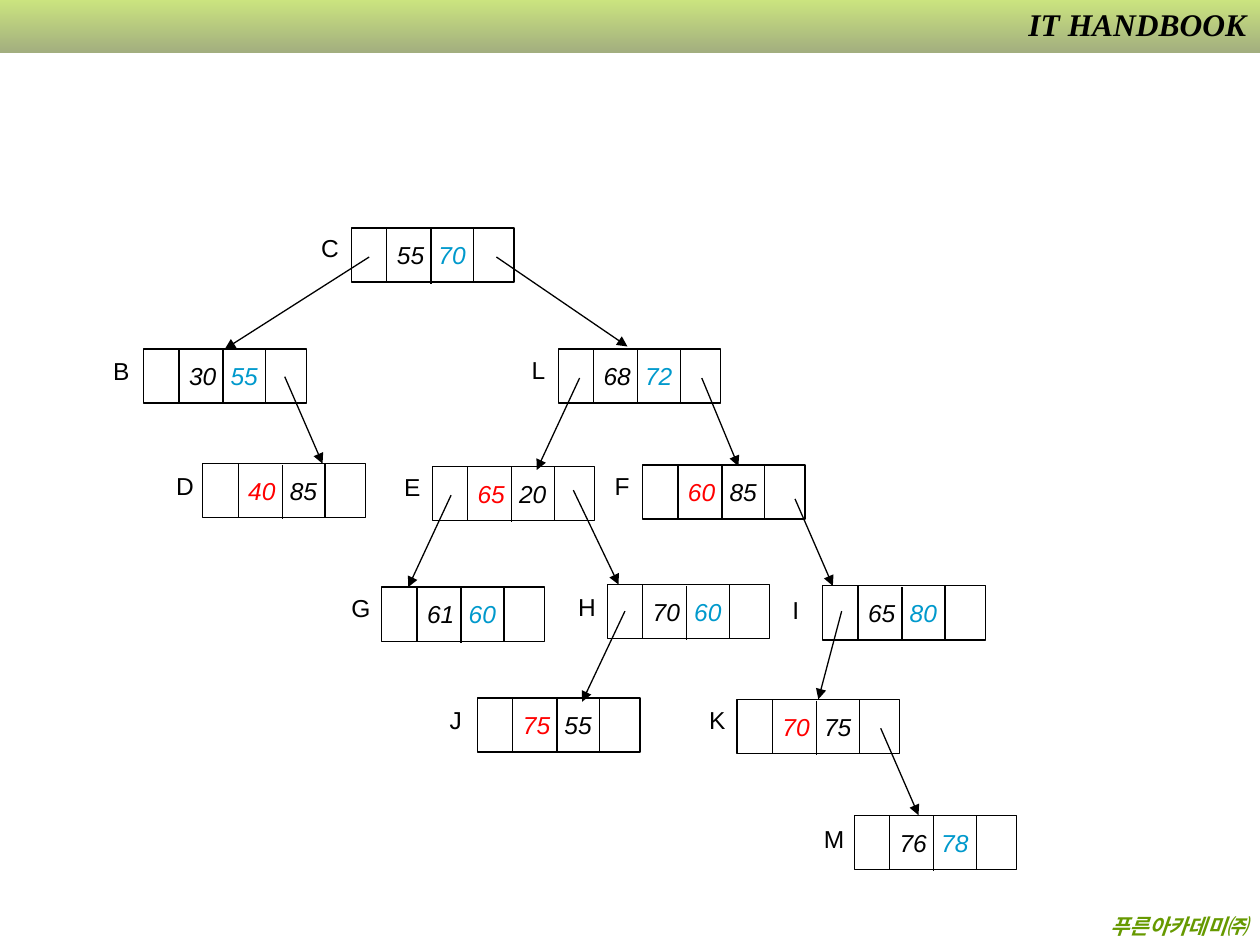
"""Build a slide with a binary tree of two-key nodes and labelled links."""
from lxml.etree import SubElement
from pptx import Presentation
from pptx.dml.color import RGBColor
from pptx.enum.shapes import MSO_CONNECTOR, MSO_SHAPE
from pptx.enum.text import MSO_ANCHOR, PP_ALIGN
from pptx.oxml import parse_xml
from pptx.oxml.ns import nsdecls, qn
from pptx.util import Inches, Pt

BLACK, RED, BLUE = "000000", "FF0000", "0099CC"


def add_span(para, text, size, color, name="Arial", bold=False, italic=False):
    span = para.add_run()
    span.text = text
    span.font.size = Pt(size)
    span.font.name = name
    span.font.bold = bold
    span.font.italic = italic
    span.font.color.rgb = RGBColor.from_string(color)
    return span


def add_line(start, end):
    points = [Inches(value) for value in (*start, *end)]
    line = page.shapes.add_connector(MSO_CONNECTOR.STRAIGHT, *points)
    line.line.color.rgb = RGBColor.from_string(BLACK)
    line.line.width = Pt(0.75)
    SubElement(line._element.spPr, qn("a:effectLst"))
    return line


deck = Presentation()
deck.slide_width, deck.slide_height = Inches(10), Inches(7.5)
page = deck.slides.add_slide(deck.slide_layouts[6])

band = page.shapes.add_shape(MSO_SHAPE.RECTANGLE, 0, 0, Inches(10), Inches(0.42))
band.shadow.inherit = False
band.line.fill.background()
band.fill.gradient()
band.fill.gradient_angle = 270
for stop, color in zip(band.fill.gradient_stops, ("99CC00", "475E00")):
    stop.color.rgb = RGBColor.from_string(color)
for color in band._element.spPr.iter(qn("a:srgbClr")):
    SubElement(color, qn("a:alpha"), val="50000")

captions = [
    ("푸른아카데미㈜", 0.06, 7.2, 9.94, 0.3, 12, "669900"),
    ("IT HANDBOOK", 7.88, -0.01, 2.11, 0.4, 18, BLACK),
]
for text, left, top, width, height, size, color in captions:
    box = page.shapes.add_textbox(Inches(left), Inches(top), Inches(width), Inches(height))
    box.text_frame.word_wrap = True
    para = box.text_frame.paragraphs[0]
    para.alignment = PP_ALIGN.RIGHT
    span = add_span(para, text, size, color, "Times New Roman", bold=True, italic=True)
glow = parse_xml(
    f'<a:effectLst {nsdecls("a")}><a:outerShdw dist="25400" dir="2700000">'
    '<a:srgbClr val="FFFFFF"/></a:outerShdw></a:effectLst>'
)
span.font._element.find(qn("a:solidFill")).addnext(glow)

nodes = [
    ("C", 2.79, 1.81, "55", BLACK, "70", BLUE, 2.45, 1.8, 0.34),
    ("B", 1.14, 2.77, "30", BLACK, "55", BLUE, 0.8, 2.78, 0.33),
    ("L", 4.43, 2.77, "68", BLACK, "72", BLUE, 4.12, 2.77, 0.31),
    ("D", 1.61, 3.68, "40", RED, "85", BLACK, 1.3, 3.69, 0.34),
    ("E", 3.43, 3.7, "65", RED, "20", BLACK, 3.11, 3.7, 0.33),
    ("F", 5.1, 3.69, "60", RED, "85", BLACK, 4.78, 3.69, 0.32),
    ("G", 3.03, 4.66, "61", BLACK, "60", BLUE, 2.69, 4.66, 0.35),
    ("H", 4.82, 4.64, "70", BLACK, "60", BLUE, 4.49, 4.65, 0.34),
    ("I", 6.53, 4.65, "65", BLACK, "80", BLUE, 6.19, 4.67, 0.25),
    ("J", 3.79, 5.54, "75", RED, "55", BLACK, 3.47, 5.55, 0.3),
    ("K", 5.85, 5.55, "70", RED, "75", BLACK, 5.53, 5.55, 0.33),
    ("M", 6.78, 6.47, "76", BLACK, "78", BLUE, 6.44, 6.49, 0.36),
]
frames = {}
for name, left, top, key, key_color, rank, rank_color, label_left, label_top, label_width in nodes:
    for offset, width in ((0, 1.29), (0.28, 0.69)):
        cell = page.shapes.add_shape(
            MSO_SHAPE.RECTANGLE, Inches(left + offset), Inches(top), Inches(width), Inches(0.43)
        )
        cell.shadow.inherit = False
        cell.fill.background()
        cell.line.color.rgb = RGBColor.from_string(BLACK)
        cell.line.width = Pt(0.75)
        frames.setdefault(name, cell)
    frame = cell.text_frame
    frame.word_wrap = True
    frame.vertical_anchor = MSO_ANCHOR.MIDDLE
    frame.margin_left, frame.margin_right = Inches(0.08), 0
    para = frame.paragraphs[0]
    para.alignment = PP_ALIGN.LEFT
    tabs = SubElement(para._p.get_or_add_pPr(), qn("a:tabLst"))
    SubElement(tabs, qn("a:tab"), pos=str(Inches(0.33)), algn="l")
    add_span(para, key + "\t", 14, key_color, italic=True)
    add_span(para, rank, 14, rank_color, italic=True)
    add_line((left + 0.63, top + 0.01), (left + 0.63, top + 0.44))

    label = page.shapes.add_textbox(
        Inches(label_left), Inches(label_top), Inches(label_width), Inches(0.34)
    )
    label.text_frame.word_wrap = False
    add_span(label.text_frame.paragraphs[0], name, 14, BLACK)

links = [
    ((2.93, 2.04), (1.78, 2.74), "B"),
    ((3.94, 2.04), (4.98, 2.75), None),
    ((2.26, 2.99), (2.56, 3.68), None),
    ((4.6, 3), (4.26, 3.73), None),
    ((5.57, 3), (5.86, 3.7), None),
    ((3.58, 3.93), (3.24, 4.66), None),
    ((4.55, 3.89), (4.91, 4.64), None),
    ((6.31, 3.96), (6.61, 4.65), None),
    ((4.96, 4.85), (4.62, 5.57), None),
    ((6.68, 4.85), (6.47, 5.53), "K"),
    ((6.99, 5.78), (7.29, 6.47), None),
]
for start, end, target in links:
    link = add_line(start, end)
    SubElement(link.line._get_or_add_ln(), qn("a:tailEnd"), type="triangle")
    if target:
        link.end_connect(frames[target], 0)

deck.save("out.pptx")
